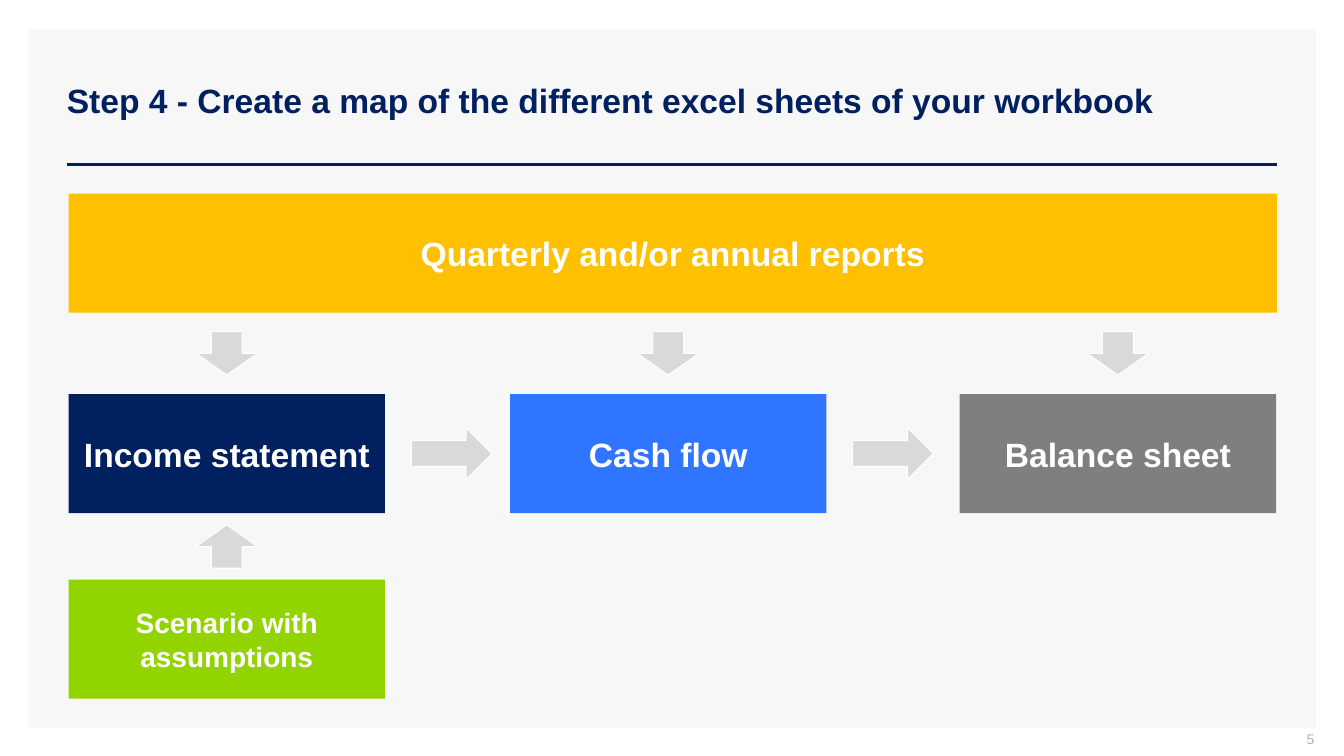
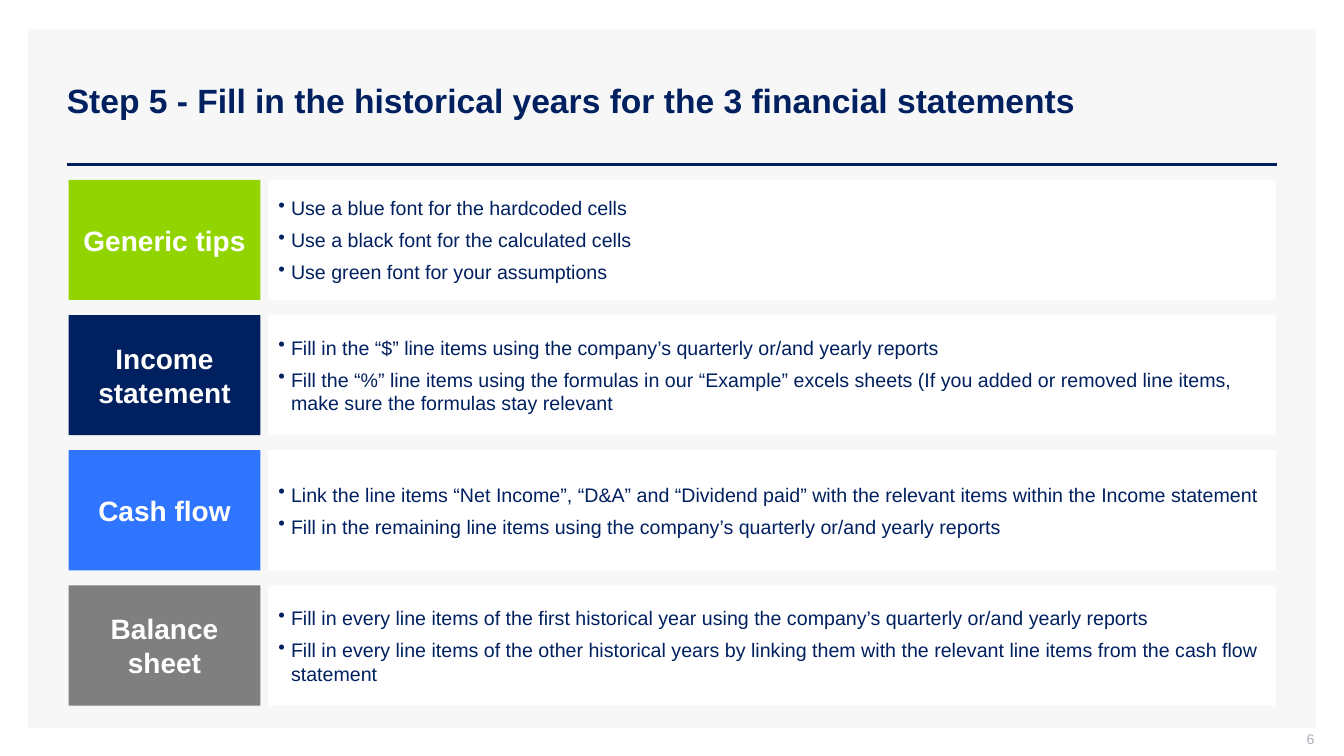
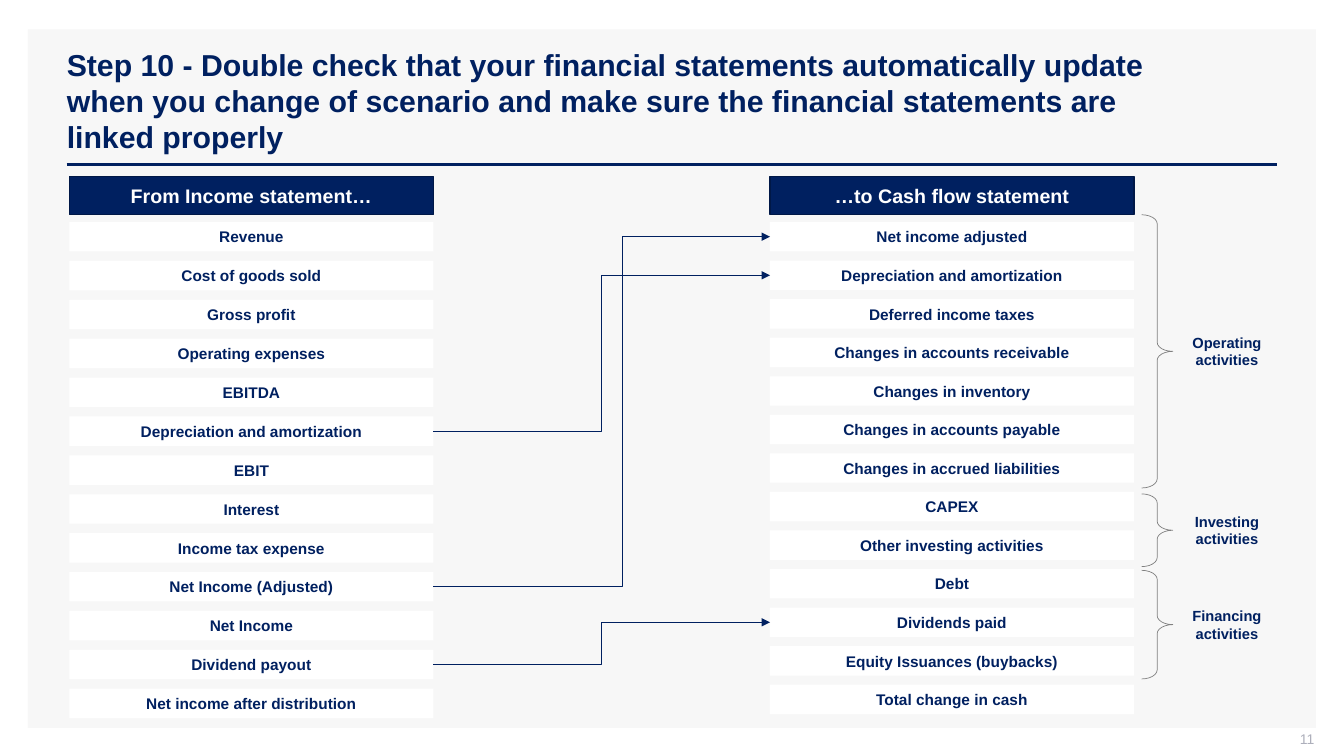
from lxml import etree
from pptx import Presentation
from pptx.dml.color import RGBColor
from pptx.enum import shapes, text
from pptx.oxml import ns
from pptx.util import Pt

NAVY, BLUE, GREY, GREEN, GOLD = "002060", "3075FF", "7F7F7F", "92D400", "FFC000"
WHITE, PANEL, ARROW, BRACE, NUMBER, EDGE = "FFFFFF", "F7F7F7", "D9D9D9", "808080", "ADAFBB", "001847"
FORM = shapes.MSO_SHAPE
ALIGN = text.PP_ALIGN
MIDDLE = text.MSO_ANCHOR.MIDDLE

LEFT, FULL_WIDTH = 49, 863


def colour(value):
    return RGBColor.from_string(value)


def set_values(target, values):
    for name, value in values.items():
        setattr(target, name, value)


def add_xml(parent, tag, **attributes):
    return etree.SubElement(parent, ns.qn(tag), attributes)


class Deck:
    font = "Arial"

    def __init__(self):
        self.deck = Presentation()
        set_values(self.deck, {"slide_width": Pt(960), "slide_height": Pt(540)})
        self.page = None

    def add_page(self, heading, number, size=24):
        self.page = self.deck.slides.add_slide(self.deck.slide_layouts[5])
        self.shape(FORM.RECTANGLE, 20, 21, 920, 499, PANEL)
        rule = self.line(shapes.MSO_CONNECTOR.STRAIGHT, (47.7, 117.4), (912.2, 117.4), 2)
        title = self.page.shapes.title
        rule.element.addnext(title.element)
        set_values(title, {"left": Pt(40.5), "top": Pt(28.8), "width": Pt(872), "height": Pt(85.7)})
        self.fill_text(title, [heading], size, NAVY, True, ALIGN.LEFT,
                       margin_right=Pt(60), auto_size=text.MSO_AUTO_SIZE.NONE)
        self.text_box(number, 722.9, 522, 216, 15, 10, NUMBER, False, ALIGN.RIGHT,
                      margin_top=0, margin_right=0, margin_bottom=Pt(3.6))

    def fill_text(self, box, lines, size, ink, bold=True, align=ALIGN.CENTER, bullet=None,
                  **frame_format):
        frame = box.text_frame
        set_values(frame, {"word_wrap": True, "vertical_anchor": MIDDLE, **frame_format})
        frame.text = "\n".join(lines)
        for para in frame.paragraphs:
            para.alignment = align
            for span in para.runs:
                set_values(span.font, {"name": self.font, "size": Pt(size), "bold": bold})
                span.font.color.rgb = colour(ink)
            if bullet:
                set_values(para, {"space_before": Pt(3), "space_after": Pt(3)})
                properties = para._p.get_or_add_pPr()
                properties.set("marL", str(Pt(9)))
                properties.set("indent", str(-Pt(9)))
                add_xml(properties, "a:buChar", char=bullet)

    def shape(self, form, left, top, width, height, fill=None, line=None, weight=0.75, turn=0):
        box = self.page.shapes.add_shape(form, Pt(left), Pt(top), Pt(width), Pt(height))
        box.shadow.inherit = False
        box.rotation = turn
        if fill:
            box.fill.solid()
            box.fill.fore_color.rgb = colour(fill)
        else:
            box.fill.background()
        if line:
            box.line.color.rgb = colour(line)
            box.line.width = Pt(weight)
        else:
            box.line.fill.background()
        return box

    def block(self, label, left, top, width, height, fill, size, ink=WHITE, line=None, **frame_format):
        box = self.shape(FORM.RECTANGLE, left, top, width, height, fill, line, 1)
        self.fill_text(box, [label], size, ink, **frame_format)

    def bullets(self, lines, left, top, width, height):
        box = self.shape(FORM.RECTANGLE, left, top, width, height, WHITE)
        self.fill_text(box, lines, 14, NAVY, False, ALIGN.LEFT, "•")

    def arrow(self, centre_x, centre_y, width, height, turn=0):
        self.shape(FORM.RIGHT_ARROW, centre_x - width / 2, centre_y - height / 2,
                   width, height, ARROW, WHITE, turn=turn)

    def brace(self, left, top, width, height):
        brace = self.shape(FORM.RIGHT_BRACE, left, top, width, height, line=BRACE, weight=0.5)
        brace.adjustments[0] = 0.29

    def text_box(self, label, left, top, width, height, size, ink, bold=True,
                 align=ALIGN.CENTER, **frame_format):
        box = self.page.shapes.add_textbox(Pt(left), Pt(top), Pt(width), Pt(height))
        self.fill_text(box, [label], size, ink, bold, align, **frame_format)

    def line(self, kind, start, end, weight, bend=None):
        link = self.page.shapes.add_connector(kind, *map(Pt, start + end))
        link.line.color.rgb = colour(NAVY)
        link.line.width = Pt(weight)
        properties = link.element.spPr
        if bend:
            add_xml(properties.find(ns.qn("a:ln")), "a:tailEnd", type="triangle")
            guides = properties.find(ns.qn("a:prstGeom")).get_or_add_avLst()
            add_xml(guides, "a:gd", name="adj1", fmla=f"val {round(bend * 100000)}")
        add_xml(properties, "a:effectLst")
        return link


def build_workbook_map(deck):
    deck.add_page("Step 4 - Create a map of the different excel sheets of your workbook", "5")
    width, height, top = 226, 85, 281.5
    sheets = [("Income statement", LEFT, NAVY), ("Cash flow", 364.3, BLUE),
              ("Balance sheet", 685.5, GREY)]
    deck.block("Quarterly and/or annual reports", LEFT, 138.4, FULL_WIDTH, height, GOLD, 24)
    for name, left, fill in sheets:
        deck.block(name, left, top, width, height, fill, 24)
        deck.arrow(left + width / 2, 252.4, 31, 44, 90)
    for name, left, fill in sheets[:-1]:
        deck.arrow(left + width + 47.6, top + height / 2, 57.6, 36.8)
    deck.block("Scenario with assumptions", LEFT, 414, width, height, GREEN, 20,
               margin_left=0, margin_right=0)
    deck.arrow(LEFT + width / 2, 390.4, 31, 44, 270)


def build_historical_years(deck):
    deck.add_page("Step 5 - Fill in the historical years for the 3 financial statements", "6")
    topics = [
        ("Generic tips", GREEN, [
            "Use a blue font for the hardcoded cells",
            "Use a black font for the calculated cells",
            "Use green font for your assumptions"]),
        ("Income statement", NAVY, [
            "Fill in the “$” line items using the company’s quarterly or/and yearly reports",
            "Fill the “%” line items using the formulas in our “Example” excels sheets "
            "(If you added or removed line items, make sure the formulas stay relevant"]),
        ("Cash flow", BLUE, [
            "Link the line items “Net Income”, “D&A” and “Dividend paid” with the relevant items "
            "within the Income statement",
            "Fill in the remaining line items using the company’s quarterly or/and yearly reports"]),
        ("Balance sheet", GREY, [
            "Fill in every line items of the first historical year using the company’s quarterly "
            "or/and yearly reports",
            "Fill in every line items of the other historical years by linking them with the "
            "relevant line items from the cash flow statement"]),
    ]
    for index, (name, fill, lines) in enumerate(topics):
        top = 128.4 + index * 96.6
        deck.block(name, LEFT, top, 137, 85.8, fill, 20)
        deck.bullets(lines, 191.8, top, 719.5, 85.8)


def build_statement_links(deck):
    deck.add_page("Step 10 - Double check that your financial statements automatically update "
                  "when you change of scenario and make sure the financial statements are "
                  "linked properly", "11", 21.6)
    width, height, first_top = 260, 21, 158.6
    income = ["Revenue", "Cost of goods sold", "Gross profit", "Operating expenses", "EBITDA",
              "Depreciation and amortization", "EBIT", "Interest", "Income tax expense",
              "Net Income (Adjusted)", "Net Income", "Dividend payout",
              "Net income after distribution"]
    cash = ["Net income adjusted", "Depreciation and amortization", "Deferred income taxes",
            "Changes in accounts receivable", "Changes in inventory",
            "Changes in accounts payable", "Changes in accrued liabilities", "CAPEX",
            "Other investing activities", "Debt", "Dividends paid",
            "Equity Issuances (buybacks)", "Total change in cash"]
    columns = [("From Income statement…", 49.6, 27.78, income),
               ("…to Cash flow statement", 550, 27.54, cash)]
    middles = []
    for heading, left, pitch, items in columns:
        deck.block(heading, left, 126.2, width, 27.2, NAVY, 14, line=EDGE)
        tops = [first_top + index * pitch for index in range(len(items))]
        for item, top in zip(items, tops):
            deck.block(item, left, top, width, height, WHITE, 11, NAVY)
        middles.append({item: top + height / 2 for item, top in zip(items, tops)})

    for name, top, extent in [("Operating activities", 153.4, 195.2),
                              ("Investing activities", 352.8, 52),
                              ("Financing activities", 407.4, 77.6)]:
        deck.brace(815.4, top, 22.3, extent)
        deck.text_box(name, 831.8, top + extent / 2 - 16.2, 89.3, 32.4, 10.5, NAVY,
                      vertical_anchor=text.MSO_ANCHOR.TOP,
                      auto_size=text.MSO_AUTO_SIZE.SHAPE_TO_FIT_TEXT)

    sources, targets = middles
    for source, target, bend in [("Net Income (Adjusted)", "Net income adjusted", 0.56),
                                 ("Depreciation and amortization", "Depreciation and amortization", 0.5),
                                 ("Dividend payout", "Dividends paid", 0.5)]:
        deck.line(shapes.MSO_CONNECTOR.ELBOW, (columns[0][1] + width, sources[source]),
                  (columns[1][1], targets[target]), 0.5, bend)


def main():
    deck = Deck()
    build_workbook_map(deck)
    build_historical_years(deck)
    build_statement_links(deck)
    deck.deck.save("out.pptx")


if __name__ == "__main__":
    main()
